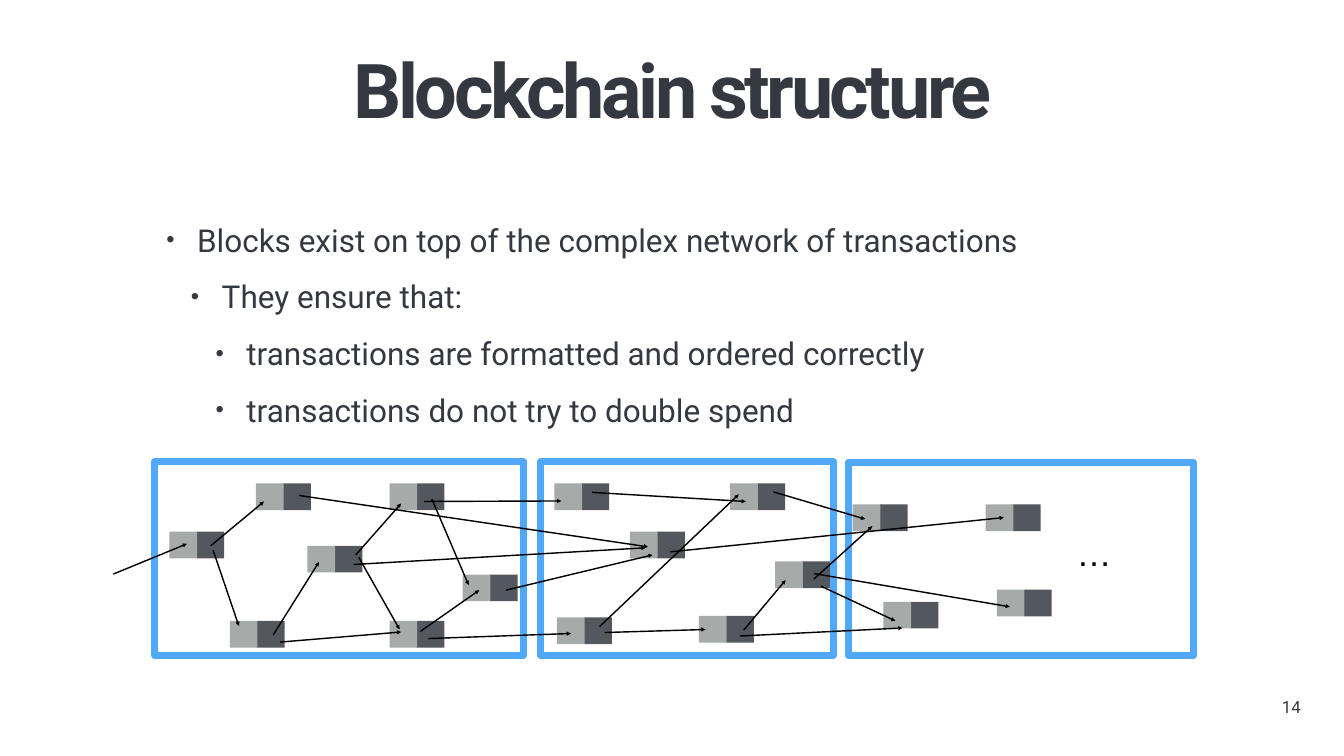
"""Build a slide on how blocks group a network of transactions."""
from lxml import etree
from pptx import Presentation
from pptx.dml.color import RGBColor
from pptx.enum.shapes import MSO_CONNECTOR, MSO_SHAPE
from pptx.enum.text import MSO_ANCHOR, MSO_AUTO_SIZE, PP_ALIGN
from pptx.oxml.ns import qn
from pptx.util import Inches, Pt

RECTANGLE = MSO_SHAPE.RECTANGLE
STRAIGHT = MSO_CONNECTOR.STRAIGHT
TOP, MIDDLE = MSO_ANCHOR.TOP, MSO_ANCHOR.MIDDLE
LEFT, CENTER, RIGHT = PP_ALIGN.LEFT, PP_ALIGN.CENTER, PP_ALIGN.RIGHT
NO_AUTOFIT = MSO_AUTO_SIZE.NONE

INK = RGBColor(0x34, 0x39, 0x41)
BLACK = RGBColor(0x00, 0x00, 0x00)
BLUE = RGBColor(0x51, 0xA8, 0xF9)
DARK_GRAY = RGBColor(0x53, 0x58, 0x5F)
LIGHT_GRAY = RGBColor(0xA6, 0xAA, 0xA9)

BULLETS = [
    (0, "Blocks exist on top of the complex network of transactions"),
    (1, "They ensure that:"),
    (2, "transactions are formatted and ordered correctly"),
    (2, "transactions do not try to double spend"),
]
BLOCKS = [(3.07, 9.16, 7.32), (10.73, 9.16, 5.81), (16.83, 9.17, 6.85)]
TRANSACTIONS = [
    (3.36, 10.55), (5.08, 9.59), (4.56, 12.32), (6.1, 10.83), (7.73, 9.59),
    (7.73, 12.32), (9.18, 11.4), (11, 9.59), (11.05, 12.25), (12.5, 10.55),
    (13.87, 12.22), (14.49, 9.59), (15.38, 11.14), (16.92, 10.01),
    (17.53, 11.94), (19.56, 10.01), (19.78, 11.7),
]
ARROWS = [
    (2.25, 11.39, 3.71, 10.79), (4.18, 10.83, 5.24, 9.95),
    (4.23, 10.92, 4.74, 12.42), (5.42, 12.6, 6.33, 11.15),
    (5.56, 12.74, 7.96, 12.54), (7.12, 11.06, 7.93, 12.49),
    (7.06, 11.01, 7.96, 9.99), (8.57, 9.9, 9.3, 11.61),
    (8.34, 12.53, 9.51, 11.71), (5.93, 9.83, 12.86, 10.85),
    (7.02, 11.2, 12.81, 10.87), (10.04, 11.71, 12.95, 11.01),
    (11.9, 12.43, 14.66, 9.81), (11.75, 9.77, 14.8, 9.95),
    (8.41, 9.95, 11.14, 9.94), (8.5, 12.67, 11.33, 12.57),
    (12, 12.55, 14, 12.49), (15.35, 9.76, 17.17, 10.3),
    (16.15, 11.49, 17.31, 10.44), (16.29, 11.63, 17.77, 12.32),
    (14.68, 12.62, 17.91, 12.46), (14.76, 12.5, 15.59, 11.51),
    (13.3, 10.95, 19.92, 10.27), (16.15, 11.38, 20.04, 12.04),
]


def write(para, text, size, font="Roboto", color=INK, bold=False,
          align=LEFT, spacing=1.0, tracking=0):
    para.alignment = align
    para.line_spacing = spacing
    para.space_before = Pt(0)
    span = para.add_run()
    span.text = text
    span.font.size = Pt(size)
    span.font.name = font
    span.font.color.rgb = color
    span.font.bold = bold
    if tracking:
        span._r.get_or_add_rPr().set("spc", str(round(tracking * 100)))


class BlockchainPage:
    def __init__(self, deck):
        self.page = deck.slides.add_slide(deck.slide_layouts[1])
        self.shapes = self.page.shapes
        self.cell_width, self.cell_height, self.cell_step = 0.55, 0.53, 0.54
        self.block_height = 3.84

    def frame(self, box, inset, anchor=TOP, wrap=True):
        frame = box.text_frame
        frame.word_wrap = wrap
        frame.auto_size = NO_AUTOFIT
        frame.vertical_anchor = anchor
        frame.margin_left = frame.margin_right = Inches(inset)
        frame.margin_top = frame.margin_bottom = Inches(inset)
        return frame

    def place(self, box, left, top, width, height):
        box.left, box.top = Inches(left), Inches(top)
        box.width, box.height = Inches(width), Inches(height)

    def title(self, text):
        box = self.shapes.title
        self.place(box, 6.74, 0.82, 13.2, 2.36)
        write(self.frame(box, 0.24).paragraphs[0], text, 108, bold=True,
              align=CENTER, spacing=0.9, tracking=-4.9)

    def bullets(self, items):
        box = self.page.placeholders[1]
        self.place(box, 2.72, 3.9, 21.23, 4.48)
        frame = self.frame(box, 0.1)
        for index, (level, text) in enumerate(items):
            para = frame.add_paragraph() if index else frame.paragraphs[0]
            para.level = level
            properties = para._p.get_or_add_pPr()
            properties.set("marL", str(Inches(1.09 + 0.49 * level)))
            properties.set("indent", str(Inches(-0.61)))
            etree.SubElement(properties, qn("a:buSzPct")).set("val", "75000")
            etree.SubElement(properties, qn("a:buChar")).set("char", "•")
            write(para, text, 45, spacing=1.5)

    def label(self, text, left, top, width, height, inset, size, **style):
        box = self.shapes.add_textbox(
            Inches(left), Inches(top), Inches(width), Inches(height))
        frame = self.frame(box, inset, MIDDLE, wrap=False)
        write(frame.paragraphs[0], text, size, **style)

    def rectangle(self, left, top, width, height):
        box = self.shapes.add_shape(
            RECTANGLE, Inches(left), Inches(top), Inches(width), Inches(height))
        box.shadow.inherit = False
        return box

    def block(self, left, top, width):
        box = self.rectangle(left, top, width, self.block_height)
        box.fill.background()
        box.line.color.rgb = BLUE
        box.line.width = Pt(10)

    def transaction(self, left, top):
        for offset, color in ((self.cell_step, DARK_GRAY), (0, LIGHT_GRAY)):
            cell = self.rectangle(
                left + offset, top, self.cell_width, self.cell_height)
            cell.fill.solid()
            cell.fill.fore_color.rgb = color
            cell.line.fill.background()

    def arrow(self, *ends):
        arrow = self.shapes.add_connector(STRAIGHT, *map(Inches, ends))
        arrow.line.color.rgb = BLACK
        arrow.line.width = Pt(2)
        outline = arrow.line._get_or_add_ln()
        etree.SubElement(outline, qn("a:tailEnd")).set("type", "triangle")
        etree.SubElement(arrow._element.spPr, qn("a:effectLst"))


def main():
    deck = Presentation()
    deck.slide_width, deck.slide_height = Inches(26.67), Inches(15)
    page = BlockchainPage(deck)
    page.label("14", 25.36, 13.7, 0.55, 0.63, 0.1, 24, align=RIGHT)
    page.title("Blockchain structure")
    page.bullets(BULLETS)
    for block in BLOCKS:
        page.block(*block)
    for transaction in TRANSACTIONS:
        page.transaction(*transaction)
    for arrow in ARROWS:
        page.arrow(*arrow)
    page.label("…", 21.28, 10.47, 0.86, 0.99, 0.08, 50,
               font="Arial", color=BLACK, align=CENTER)
    deck.save("out.pptx")


if __name__ == "__main__":
    main()
